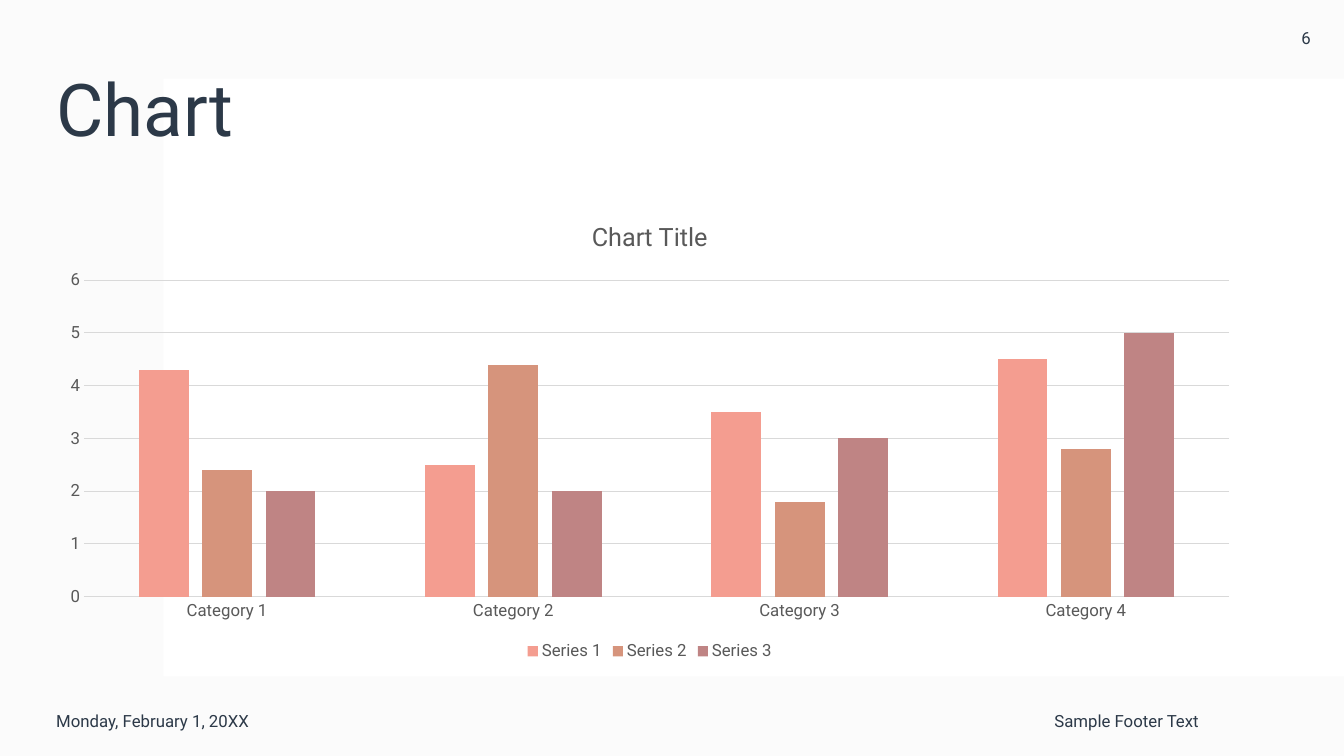
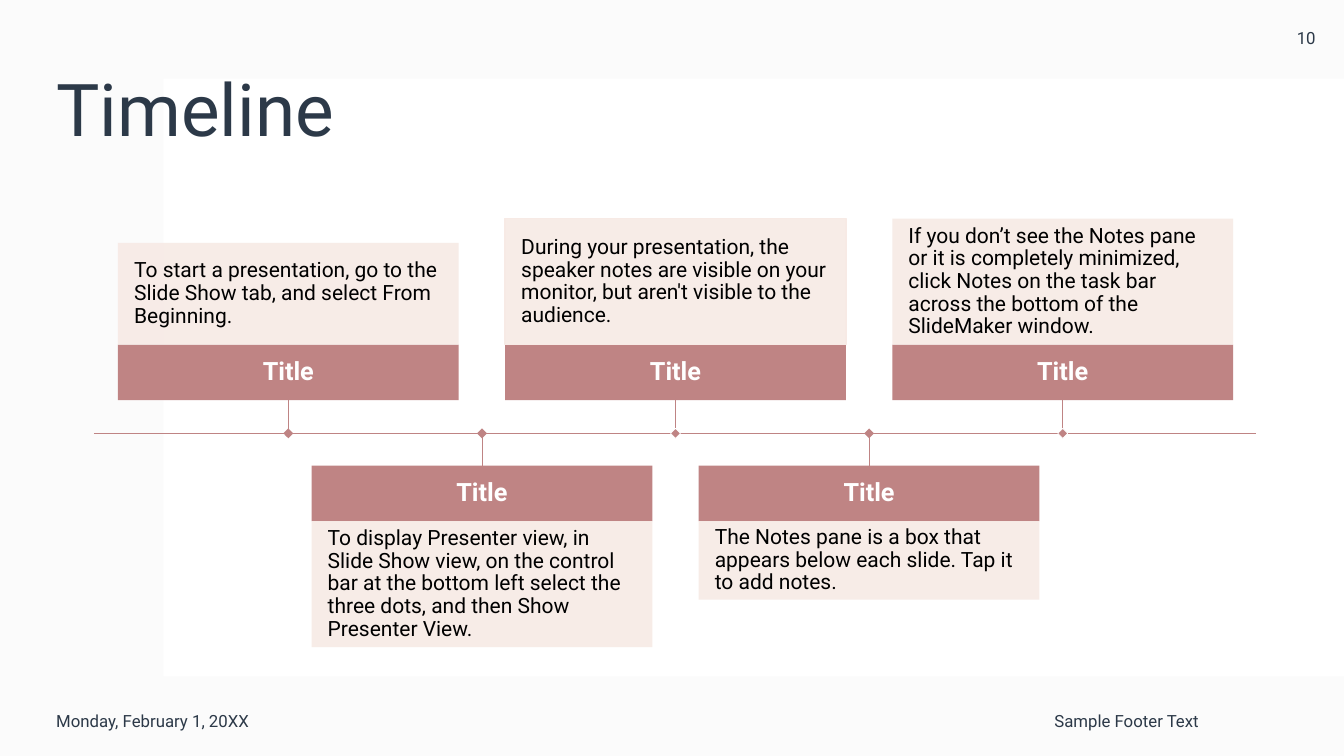
from lxml import etree
from pptx import Presentation
from pptx.chart.data import CategoryChartData
from pptx.dml.color import RGBColor
from pptx.enum import chart as charts, shapes, text
from pptx.oxml.ns import qn
from pptx.util import Inches, Pt

FONT = "Roboto"
NAVY = RGBColor(0x2C, 0x39, 0x48)
BLACK = RGBColor(0x00, 0x00, 0x00)
WHITE = RGBColor(0xFF, 0xFF, 0xFF)
MIST = RGBColor(0xF4, 0xF4, 0xF4)
GRAY = RGBColor(0x59, 0x59, 0x59)
RULE = RGBColor(0xD9, 0xD9, 0xD9)
BLUSH = RGBColor(0xF7, 0xEA, 0xE5)
CORAL = RGBColor(0xF4, 0x9D, 0x90)
CLAY = RGBColor(0xD6, 0x94, 0x7C)
ROSE = RGBColor(0xBF, 0x84, 0x84)

SLIDE_W, SLIDE_H = 13.33, 7.5
MARGIN = 0.46
DATE = "Monday, February 1, 20XX"
FOOTER = "Sample Footer Text"

CATEGORIES = ["Category 1", "Category 2", "Category 3", "Category 4"]
SERIES = [
    ("Series 1", (4.3, 2.5, 3.5, 4.5), CORAL),
    ("Series 2", (2.4, 4.4, 1.8, 2.8), CLAY),
    ("Series 3", (2, 2, 3, 5), ROSE),
]

AXIS_Y = 4.3
CARD_LEFT, CARD_STEP, CARD_W = 1.17, 1.92, 3.38
HEADER_H, HEADER_ABOVE, HEADER_BELOW = 0.55, 3.42, 4.62
MARKER = 0.07
MILESTONES = [
    ("To start a presentation, go to the Slide Show tab, and select From Beginning.",
     1.01, None, None),
    ("To display Presenter view, in Slide Show view, on the control bar at the bottom "
     "left select the three dots, and then Show Presenter View.", 1.25, None, None),
    ("During your presentation, the speaker notes are visible on your monitor, but "
     "aren't visible to the audience.", 1.25, BLUSH, WHITE),
    ("The Notes pane is a box that appears below each slide. Tap it to add notes.",
     0.78, None, None),
    ("If you don’t see the Notes pane or it is completely minimized, click Notes on the "
     "task bar across the bottom of the SlideMaker window.", 1.25, None, WHITE),
]


def style_font(font, size, color, bold=False):
    """Apply the deck's typeface with a size and colour."""
    font.name = FONT
    font.size = Pt(size)
    font.bold = bold
    font.color.rgb = color


def write(sp, content, size, color, align=text.PP_ALIGN.LEFT, bold=False,
          spacing=None, inset=None):
    """Put one vertically centred paragraph into a shape."""
    tf = sp.text_frame
    tf.word_wrap = True
    tf.auto_size = text.MSO_AUTO_SIZE.NONE
    tf.vertical_anchor = text.MSO_ANCHOR.MIDDLE
    if inset is not None:
        tf.margin_left = tf.margin_right = Inches(inset)
        tf.margin_top = tf.margin_bottom = Inches(inset)
    p = tf.paragraphs[0]
    p.text = content
    p.alignment = align
    p.line_spacing = spacing
    style_font(p.runs[0].font, size, color, bold)


def add_label(s, content, left, top, width, height, align=text.PP_ALIGN.LEFT):
    """Add a small text box for the slide's furniture."""
    sp = s.shapes.add_textbox(Inches(left), Inches(top), Inches(width), Inches(height))
    write(sp, content, 12, NAVY, align)


def add_box(s, left, top, width, height, fill, alpha=None, outline=None, weight=1):
    """Add a flat rectangle, optionally translucent or outlined."""
    sp = s.shapes.add_shape(shapes.MSO_SHAPE.RECTANGLE, Inches(left), Inches(top),
                            Inches(width), Inches(height))
    sp.shadow.inherit = False
    sp.fill.solid()
    sp.fill.fore_color.rgb = fill
    if alpha is not None:
        clr = sp.element.spPr.find(".//" + qn("a:srgbClr"))
        etree.SubElement(clr, qn("a:alpha"), val=str(alpha * 1000))
    if outline is None:
        sp.line.fill.background()
    else:
        sp.line.color.rgb = outline
        sp.line.width = Pt(weight)
    return sp


def add_line(s, x1, y1, x2, y2, weight):
    """Add a straight rose line."""
    ln = s.shapes.add_connector(shapes.MSO_CONNECTOR.STRAIGHT, Inches(x1), Inches(y1),
                                Inches(x2), Inches(y2))
    ln.line.color.rgb = ROSE
    ln.line.width = Pt(weight)
    etree.SubElement(ln.element.spPr, qn("a:effectLst"))


def set_up_layout(prs):
    """Give the title-only layout its backdrop and title position."""
    layout = prs.slide_layouts[5]
    title = layout.placeholders[0]
    title.left, title.top = Inches(MARGIN), Inches(0.4)
    title.width, title.height = Inches(11.53), Inches(1.45)
    return layout


def add_backdrop(s):
    """Move the tinted ground and white panel into the slide's layout."""
    ground = add_box(s, 0, 0, SLIDE_W, SLIDE_H, MIST, alpha=35)
    panel = add_box(s, 1.62, 0.78, SLIDE_W - 1.62, 5.93, WHITE)
    for i, sp in enumerate((ground, panel)):
        s.slide_layout.shapes.element.insert(2 + i, sp.element)


def add_slide(prs, layout, title, number):
    """Add a slide with title, date, footer and number."""
    s = prs.slides.add_slide(layout)
    write(s.shapes.title, title, 52, NAVY, spacing=0.9)
    add_label(s, DATE, MARGIN, 6.8, 3, 0.7)
    add_label(s, FOOTER, 4.12, 6.8, 7.87, 0.7, text.PP_ALIGN.RIGHT)
    add_label(s, str(number), 12.58, 0, 0.75, 0.75, text.PP_ALIGN.CENTER)
    return s


def add_column_chart(s):
    """Add the clustered column chart."""
    data = CategoryChartData()
    data.categories = CATEGORIES
    for name, values, _ in SERIES:
        data.add_series(name, values)
    chart = s.shapes.add_chart(charts.XL_CHART_TYPE.COLUMN_CLUSTERED, Inches(MARGIN),
                               Inches(2), Inches(11.97), Inches(4.6), data).chart
    style_font(chart.font, 12, GRAY)
    chart.has_title = True
    tf = chart.chart_title.text_frame
    tf.text = "Chart Title"
    style_font(tf.paragraphs[0].runs[0].font, 18, GRAY)
    chart.has_legend = True
    chart.legend.position = charts.XL_LEGEND_POSITION.BOTTOM
    chart.legend.include_in_layout = False
    style_font(chart.legend.font, 12, GRAY)

    plot = chart.plots[0]
    plot.gap_width, plot.overlap = 219, -27
    plot.vary_by_categories = False
    for series, (_, _, color) in zip(plot.series, SERIES):
        series.format.fill.solid()
        series.format.fill.fore_color.rgb = color

    cat, val = chart.category_axis, chart.value_axis
    for axis in (cat, val):
        axis.major_tick_mark = axis.minor_tick_mark = charts.XL_TICK_MARK.NONE
        style_font(axis.tick_labels.font, 12, GRAY)
    val.minimum_scale, val.maximum_scale, val.major_unit = 0, 6, 1
    val.format.line.fill.background()
    for fmt in (cat.format, val.major_gridlines.format):
        fmt.line.color.rgb = RULE
        fmt.line.width = Pt(0.75)


def add_milestone(s, i, body, body_h, body_outline, marker_outline):
    """Add one card with its stem and marker, alternating above and below."""
    left = CARD_LEFT + i * CARD_STEP
    center = left + CARD_W / 2
    above = i % 2 == 0
    header_top = HEADER_ABOVE if above else HEADER_BELOW
    body_top = header_top - body_h if above else header_top + HEADER_H
    stem_end = header_top + HEADER_H if above else header_top

    header = add_box(s, left, header_top, CARD_W, HEADER_H, ROSE)
    write(header, "Title", 18, WHITE, text.PP_ALIGN.CENTER, True, 0.9, 0.1)
    card = add_box(s, left, body_top, CARD_W, body_h, BLUSH, 90, body_outline)
    write(card, body, 15, BLACK, spacing=0.9, inset=0.16)
    add_line(s, center, stem_end, center, AXIS_Y, 0.5)
    marker = add_box(s, center - MARKER / 2, AXIS_Y - MARKER / 2, MARKER, MARKER, ROSE,
                     outline=marker_outline, weight=0.5)
    marker.rotation = 45


def main():
    """Build and save the deck."""
    prs = Presentation()
    prs.slide_width, prs.slide_height = Inches(SLIDE_W), Inches(SLIDE_H)
    layout = set_up_layout(prs)

    s = add_slide(prs, layout, "Chart", 6)
    add_backdrop(s)
    add_column_chart(s)

    s = add_slide(prs, layout, "Timeline", 10)
    add_line(s, 0.93, AXIS_Y, 12.46, AXIS_Y, 1)
    for i, milestone in enumerate(MILESTONES):
        add_milestone(s, i, *milestone)

    prs.save("out.pptx")


if __name__ == "__main__":
    main()
